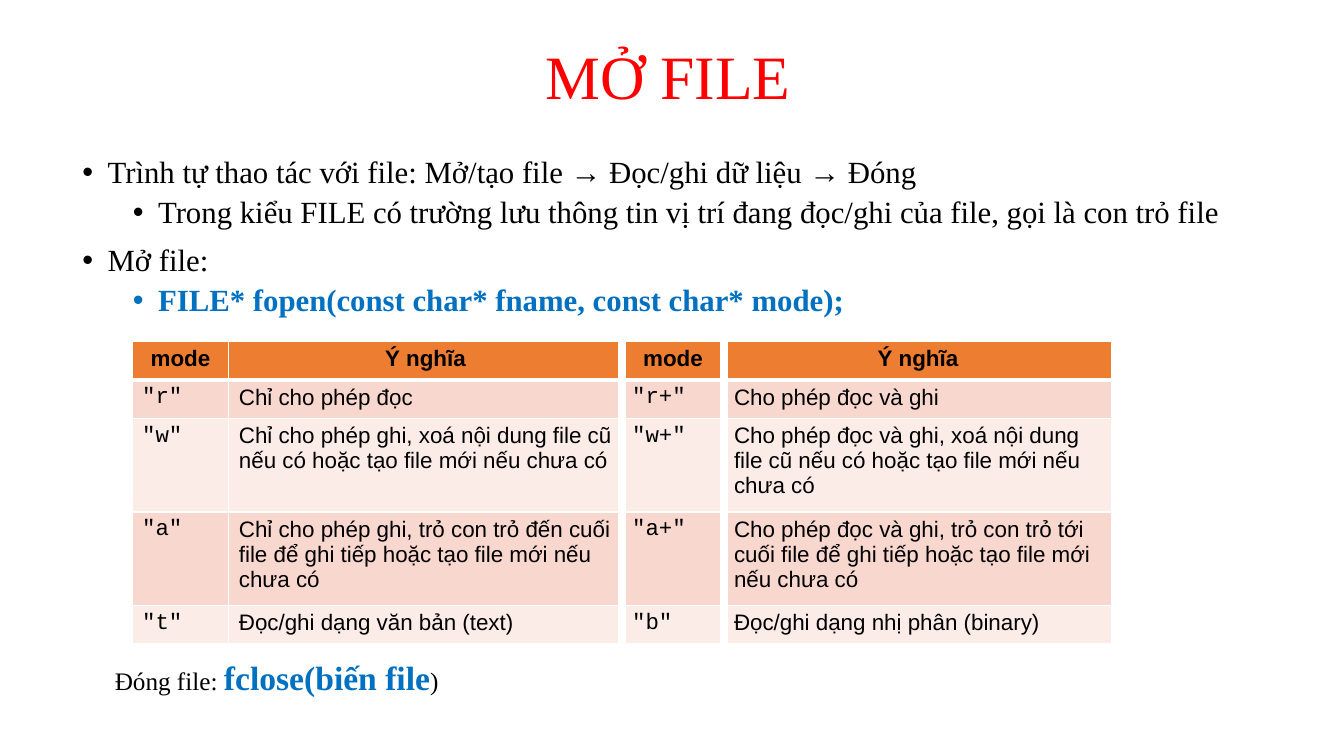
import pptx
import pptx.dml.color
import pptx.enum.text
import pptx.oxml
import pptx.oxml.ns
import pptx.util

SLIDE_WIDTH, SLIDE_HEIGHT = pptx.util.Inches(13.33), pptx.util.Inches(7.5)
SERIF, SANS, MONO = "Times New Roman", "Arial", "Courier New"
COLORS = {
    "title": "FF0000",
    "text": "000000",
    "code": "0070C0",
    "header": "ED7D31",
    "odd_row": "F8D7CE",
    "even_row": "FCECE8",
    "border": "FFFFFF",
}
ALIGN = pptx.enum.text.PP_ALIGN
ANCHOR = pptx.enum.text.MSO_ANCHOR

# Table geometry in percent of the slide's width and height
COLUMN_SHARES = [7.2, 29.26, 7.58, 28.88]
ROW_SHARES = [5.07, 5.07, 12.4, 12.4, 5.07]
THIN, HEADER_RULE, DIVIDER = 1, 3, 6
MODES = [
    ["mode", "Ý nghĩa", "mode", "Ý nghĩa"],
    ['"r"', "Chỉ cho phép đọc", '"r+"', "Cho phép đọc và ghi"],
    ['"w"', "Chỉ cho phép ghi, xoá nội dung file cũ nếu có hoặc tạo file mới nếu chưa có",
     '"w+"', "Cho phép đọc và ghi, xoá nội dung file cũ nếu có hoặc tạo file mới nếu chưa có"],
    ['"a"', "Chỉ cho phép ghi, trỏ con trỏ đến cuối file để ghi tiếp hoặc tạo file mới nếu chưa có",
     '"a+"', "Cho phép đọc và ghi, trỏ con trỏ tới cuối file để ghi tiếp hoặc tạo file mới nếu chưa có"],
    ['"t"', "Đọc/ghi dạng văn bản (text)", '"b"', "Đọc/ghi dạng nhị phân (binary)"],
]


def across(percent):
    return round(SLIDE_WIDTH * percent / 100)


def down(percent):
    return round(SLIDE_HEIGHT * percent / 100)


def rgb(name):
    return pptx.dml.color.RGBColor.from_string(COLORS[name])


def add_run(paragraph, text, size=22, font=SERIF, color="text", bold=False):
    run = paragraph.add_run()
    run.text = text
    run.font.size = pptx.util.Pt(size)
    run.font.name = font
    run.font.bold = bold
    run.font.color.rgb = rgb(color)


def add_text_frame(slide, left, top, width, height, anchor=ANCHOR.TOP, wrap=True):
    box = slide.shapes.add_textbox(across(left), down(top), across(width), down(height))
    box.text_frame.word_wrap = wrap
    box.text_frame.vertical_anchor = anchor
    return box.text_frame


def set_bullet(paragraph, level):
    properties = paragraph._p.get_or_add_pPr()
    properties.set("marL", str(pptx.util.Inches(0.25 + 0.5 * level)))
    properties.set("indent", str(pptx.util.Inches(-0.25)))
    for tag, attribute in (('buFont', 'typeface="Arial"'), ('buChar', 'char="•"')):
        properties.append(pptx.oxml.parse_xml(
            f'<a:{tag} {pptx.oxml.ns.nsdecls("a")} {attribute}/>'))


def add_bullets(frame, items):
    for index, (level, text, text_format) in enumerate(items):
        paragraph = frame.add_paragraph() if index else frame.paragraphs[0]
        paragraph.level = level
        paragraph.line_spacing = 0.9
        paragraph.space_before = pptx.util.Pt(5 if level else 10)
        set_bullet(paragraph, level)
        add_run(paragraph, text, **text_format)


def set_borders(cell, **widths):
    properties = cell._tc.get_or_add_tcPr()
    for side in "LRTB":
        width = pptx.util.Pt(widths.get(side, THIN))
        properties.append(pptx.oxml.parse_xml(
            f'<a:ln{side} {pptx.oxml.ns.nsdecls("a")} w="{width}"><a:solidFill>'
            f'<a:srgbClr val="{COLORS["border"]}"/></a:solidFill></a:ln{side}>'))


def fill_cell(cell, row, column, text):
    header = row == 0
    set_borders(
        cell,
        L=DIVIDER if column >= 2 else THIN,
        R=DIVIDER if column in (1, 2) else THIN,
        T=HEADER_RULE if row == 1 else THIN,
        B=HEADER_RULE if header else THIN,
    )
    cell.fill.solid()
    cell.fill.fore_color.rgb = rgb("header" if header else "odd_row" if row % 2 else "even_row")
    paragraph = cell.text_frame.paragraphs[0]
    paragraph.alignment = ALIGN.CENTER if header else ALIGN.LEFT
    font = MONO if column % 2 == 0 and not header else SANS
    add_run(paragraph, text, size=16, font=font, bold=header)


def add_mode_table(slide, left, top):
    table = slide.shapes.add_table(
        len(ROW_SHARES), len(COLUMN_SHARES), across(left), down(top),
        across(sum(COLUMN_SHARES)), down(sum(ROW_SHARES))).table
    table.first_row = table.horz_banding = False
    for column, share in zip(table.columns, COLUMN_SHARES):
        column.width = across(share)
    for row, share in zip(table.rows, ROW_SHARES):
        row.height = down(share)
    for row, texts in enumerate(MODES):
        for column, text in enumerate(texts):
            fill_cell(table.cell(row, column), row, column, text)


def main():
    presentation = pptx.Presentation()
    presentation.slide_width, presentation.slide_height = SLIDE_WIDTH, SLIDE_HEIGHT
    slide = presentation.slides.add_slide(presentation.slide_layouts[6])

    # Title
    title = add_text_frame(slide, 6.6, 0.8, 86.27, 19.33, anchor=ANCHOR.MIDDLE).paragraphs[0]
    title.alignment = ALIGN.CENTER
    title.line_spacing = 0.9
    add_run(title, "MỞ FILE", size=44, color="title")

    # Table of opening modes
    add_mode_table(slide, 9.83, 45.2)

    # Bullets
    add_bullets(add_text_frame(slide, 5.4, 20.13, 86.27, 25.73), [
        (0, "Trình tự thao tác với file: Mở/tạo file → Đọc/ghi dữ liệu → Đóng", {}),
        (1, "Trong kiểu FILE có trường lưu thông tin vị trí đang đọc/ghi của file, "
            "gọi là con trỏ file", {}),
        (0, "Mở file:", {}),
        (1, "FILE* fopen(const char* fname, const char* mode);",
         {"color": "code", "bold": True}),
    ])

    # Closing a file
    closing_frame = add_text_frame(slide, 7.8, 86.27, 25.8, 6.67, wrap=False)
    closing_frame.auto_size = pptx.enum.text.MSO_AUTO_SIZE.SHAPE_TO_FIT_TEXT
    closing = closing_frame.paragraphs[0]
    add_run(closing, "Đóng file: ", size=18)
    add_run(closing, "fclose(biến file", size=24, color="code", bold=True)
    add_run(closing, ")", size=18)

    presentation.save("out.pptx")


if __name__ == "__main__":
    main()
